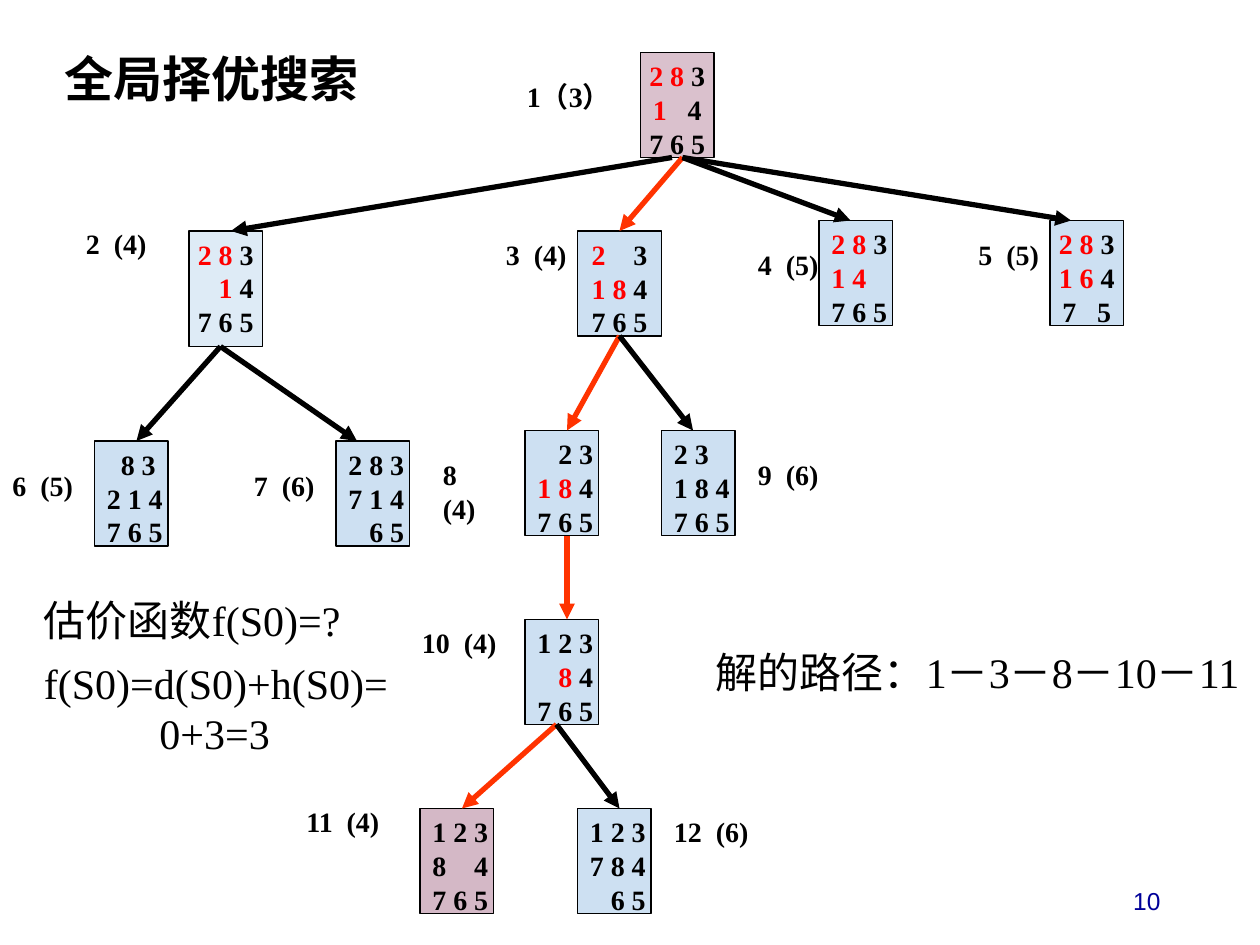
"""Build the search tree slide, laid out on a grid of twelfths of an inch."""
from lxml import etree
from pptx import Presentation
from pptx import util as u
from pptx.dml import color
from pptx.enum import shapes, text
from pptx.oxml import ns

THEME = {
    "ink": "000000", "red": "FF0000", "path_line": "FF3300", "page": "000099",
    "blue": "5B9BD5", "plum": "954F72",
    "head": {"name": "Times New Roman", "size": u.Pt(28), "bold": True},
    "node": {"name": "Times New Roman", "size": u.Pt(16), "bold": True},
    "note": {"name": "Times New Roman", "size": u.Pt(24), "bold": False},
    "foot": {"name": "Arial", "size": u.Pt(14), "bold": False},
}
LEFT, MID, RIGHT = text.PP_ALIGN.LEFT, text.PP_ALIGN.CENTER, text.PP_ALIGN.RIGHT
TOP = text.MSO_ANCHOR.TOP


def grid(*units):
    return [u.Cm(n * 2.54 / 12) for n in units]


def write(frame, rows, style, align=LEFT, ink="ink", wrap=True, anchor=TOP):
    form = {"word_wrap": wrap, "vertical_anchor": anchor,
            "margin_left": u.Cm(0.25), "margin_right": u.Cm(0.25),
            "margin_top": u.Cm(0.13), "margin_bottom": u.Cm(0.13)}
    for key, val in form.items():
        setattr(frame, key, val)
    for i, row in enumerate(rows.split("|")):
        para = frame.add_paragraph() if i else frame.paragraphs[0]
        para.alignment = align
        for j, part in enumerate(row.split("*")):
            if part:
                run = para.add_run()
                run.text = part
                for key, val in THEME[style].items():
                    setattr(run.font, key, val)
                tint = THEME["red" if j % 2 else ink]
                run.font.color.rgb = color.RGBColor.from_string(tint)


deck = Presentation()
deck.slide_width, deck.slide_height = u.Cm(25.4), u.Cm(19.05)
slide = deck.slides.add_slide(deck.slide_layouts[5])
title = slide.shapes.title
title.left, title.top, title.width, title.height = grid(5, 4, 32, 6.8)
write(title.text_frame, "全局择优搜索", "head")

nodes = [
    ((61, 5, 7, 10), "plum", 35, MID, "*2 8* 3|*1*   4|7 6 5"),
    ((18, 22, 7, 11), "blue", 20, MID, "*2 8* 3|   *1* 4|7 6 5"),
    ((55, 22, 8, 10), "blue", 30, MID, "*2*    3|*1 8* 4|7 6 5"),
    ((78, 21, 7, 10), "blue", 30, LEFT, "*2 8 *3|*1 4*|7 6 5"),
    ((100, 21, 7, 10), "blue", 30, MID, "*2 8* 3|*1 6* 4|7   5"),
    ((9, 42, 7, 10), "blue", 30, LEFT, "  8 3|2 1 4|7 6 5"),
    ((32, 42, 7, 10), "blue", 30, LEFT, "2 8 3|7 1 4|   6 5"),
    ((50, 41, 7, 10), "blue", 30, LEFT, "   2 3|*1 8* 4|7 6 5"),
    ((63, 41, 7, 10), "blue", 30, LEFT, "2 3|1 8 4|7 6 5"),
    ((50, 59, 7, 10), "blue", 30, LEFT, "1 2 3|   *8* 4|7 6 5"),
    ((40, 77, 7, 10), "plum", 40, LEFT, "1 2 3|8    4|7 6 5"),
    ((55, 77, 7, 10), "blue", 30, LEFT, "1 2 3|7 8 4|   6 5"),
]
for box, fill, alpha, align, rows in nodes:
    node = slide.shapes.add_shape(shapes.MSO_SHAPE.FLOWCHART_PROCESS, *grid(*box))
    node.shadow.inherit = False
    node.fill.solid()
    node.fill.fore_color.rgb = color.RGBColor.from_string(THEME[fill])
    tone = node.fill._xPr.find(ns.qn("a:solidFill"))[0]
    etree.SubElement(tone, ns.qn("a:alpha"), val=str(alpha * 1000))
    node.line.color.rgb = color.RGBColor.from_string(THEME["ink"])
    node.line.width = u.Pt(0.75)
    write(node.text_frame, rows, "node", align, wrap=False)

edges = [
    ((64, 15, 22, 22), "ink", 3), ((64, 15, 64, 15), "ink", 0.75),
    ((65, 15, 59, 22), "path_line", 3), ((65, 15, 81, 21), "ink", 3),
    ((65, 15, 102, 21), "ink", 3), ((21, 33, 13, 42), "ink", 3),
    ((21, 33, 34, 42), "ink", 3), ((59, 32, 54, 41), "path_line", 3),
    ((59, 32, 66, 41), "ink", 3), ((54, 51, 54, 59), "path_line", 3),
    ((53, 69, 44, 77), "path_line", 3), ((53, 69, 59, 77), "ink", 3),
]
for ends, tint, width in edges:
    edge = slide.shapes.add_connector(shapes.MSO_CONNECTOR.STRAIGHT, *grid(*ends))
    edge.line.color.rgb = color.RGBColor.from_string(THEME[tint])
    edge.line.width = u.Pt(width)
    etree.SubElement(edge.line._get_or_add_ln(), ns.qn("a:tailEnd"), type="triangle")
    etree.SubElement(edge._element.spPr, ns.qn("a:effectLst"))

labels = [
    ((49, 7, 11.3, 7.7), "1（3）", "node"), ((7, 21, 10.2, 4.4), "2  (4)", "node"),
    ((47, 22, 13.2, 4.4), "3  (4)", "node"), ((71, 23, 8.3, 4.4), "4  (5)", "node"),
    ((92, 22, 8.3, 4.4), "5  (5)", "node"), ((0, 44, 9.2, 4.4), "6  (5)", "node"),
    ((23, 44, 10, 4.4), "7  (6)", "node"), ((41, 43, 8, 7.7), "8  (4)", "node"),
    ((71, 43, 9, 4.4), "9  (6)", "node"), ((39, 59, 10.2, 4.4), "10  (4)", "node"),
    ((28, 76, 10.2, 4.4), "11  (4)", "node"), ((63, 77, 10.2, 4.4), "12  (6)", "node"),
    ((67, 61, 53, 10.8), "解的路径：1－3－8－10－11", "note"),
    ((3, 56, 36, 6), "估价函数f(S0)=?", "note"),
    ((3, 62, 36, 10.8), "f(S0)=d(S0)+h(S0)=|0+3=3", "note"),
]
for box, rows, style in labels:
    label = slide.shapes.add_textbox(*grid(*box))
    write(label.text_frame, rows, style)
label.text_frame.paragraphs[1]._p.get_or_add_pPr().set("marL", str(u.Cm(2.33)))

page = slide.shapes.add_textbox(*grid(84.7, 83.4, 27, 4.8))
write(page.text_frame, "10", "foot", RIGHT, "page", anchor=text.MSO_ANCHOR.MIDDLE)

deck.save("out.pptx")
